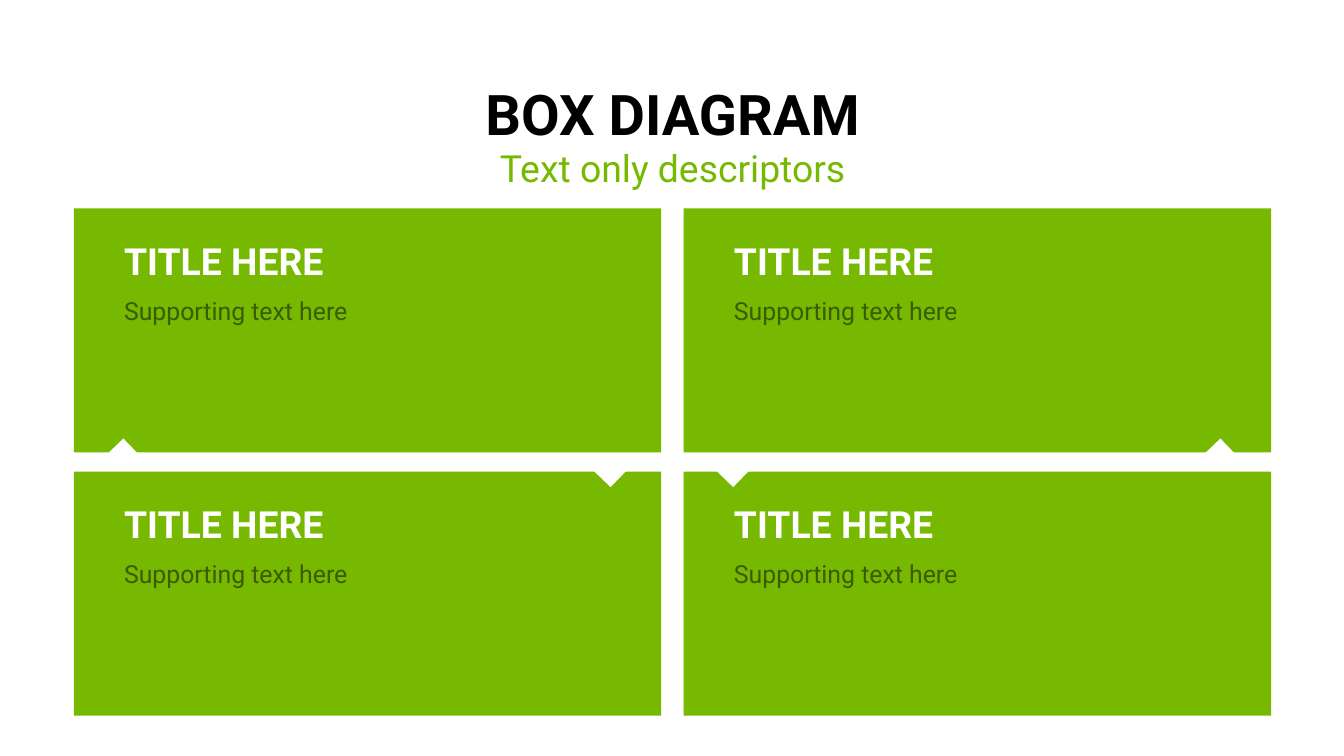
from dataclasses import dataclass
from itertools import product

from pptx import Presentation
from pptx.dml.color import RGBColor
from pptx.enum.shapes import MSO_SHAPE as Preset
from pptx.enum.text import MSO_ANCHOR as Anchor, PP_ALIGN as Align
from pptx.slide import Slide
from pptx.util import Inches, Pt

COLORS = {
    "paper": "FFFFFF",
    "ink": "000000",
    "green": "76B900",
    "dark_green": "3B5C00",
}
COLUMNS, ROWS = 120, 67.5
CARD_LEFT, CARD_TOP = 6.6, 18.6
CARD_WIDTH, CARD_HEIGHT = 52.45, 21.8
COLUMN_STEP, ROW_STEP = 54.45, 23.5
NOTCH_WIDTH, NOTCH_HEIGHT = 2.1, 2
NEAR_NOTCH, FAR_NOTCH = 3.3, 46.8


@dataclass
class Deck:
    slide: Slide
    width: int
    height: int
    font: str = "Roboto"
    line_spacing: float = 0.9

    def place(self, left, top, width, height):
        column, row = self.width / COLUMNS, self.height / ROWS
        return (round(left * column), round(top * row),
                round(width * column), round(height * row))

    def shape(self, group, preset, box, color):
        shape = group.shapes.add_shape(preset, *self.place(*box))
        shape.shadow.inherit = False
        shape.fill.solid()
        shape.fill.fore_color.rgb = RGBColor.from_string(COLORS[color])
        shape.line.fill.background()
        return shape

    def card(self, left, top, notch_left, points_up):
        group = self.slide.shapes.add_group_shape()
        self.shape(group, Preset.RECTANGLE,
                   (left, top, CARD_WIDTH, CARD_HEIGHT), "green")
        notch_top = top + (21 if points_up else -1.05)
        notch = self.shape(group, Preset.RIGHT_TRIANGLE,
                           (left + notch_left, notch_top, NOTCH_WIDTH, NOTCH_HEIGHT),
                           "paper")
        notch.rotation = 136 if points_up else 224
        if not points_up:
            notch.element.spPr.get_or_add_xfrm().set("flipV", "1")

    def text(self, words, box, size, color, bold=False,
             align=Align.LEFT, anchor=Anchor.TOP):
        shape = self.slide.shapes.add_textbox(*self.place(*box))
        frame = shape.text_frame
        frame.word_wrap = True
        frame.vertical_anchor = anchor
        frame.text = words
        paragraph = frame.paragraphs[0]
        paragraph.alignment = align
        paragraph.line_spacing = self.line_spacing
        font = paragraph.runs[0].font
        font.name, font.size, font.bold = self.font, Pt(size), bold
        font.color.rgb = RGBColor.from_string(COLORS[color])


def main():
    presentation = Presentation()
    presentation.slide_width = Inches(12)
    presentation.slide_height = Inches(6.75)
    slide = presentation.slides.add_slide(presentation.slide_layouts[6])
    slide.background.fill.solid()
    slide.background.fill.fore_color.rgb = RGBColor.from_string(COLORS["paper"])
    deck = Deck(slide, presentation.slide_width, presentation.slide_height)

    deck.text("BOX DIAGRAM", (5.5, 7.2, 109.1, 6.5), 36, "ink", True,
              Align.CENTER, Anchor.BOTTOM)
    deck.text("Text only descriptors", (5.5, 12.9, 109.1, 5.7), 24, "green",
              align=Align.CENTER)

    cells = list(product(range(2), range(2)))
    corners = [(CARD_LEFT + column * COLUMN_STEP, CARD_TOP + row * ROW_STEP)
               for row, column in cells]
    for (row, column), (left, top) in zip(cells, corners):
        notch_left = NEAR_NOTCH if row == column else FAR_NOTCH
        deck.card(left, top, notch_left, points_up=row == 0)
    for left, top in corners:
        deck.text("Supporting text here", (left + 3.5, top + 7.6, 46.3, 3.4),
                  16, "dark_green")
        deck.text("TITLE HERE", (left + 3.5, top + 2.6, 46.3, 4.6),
                  24, "paper", True, anchor=Anchor.BOTTOM)

    presentation.save("out.pptx")


if __name__ == "__main__":
    main()
